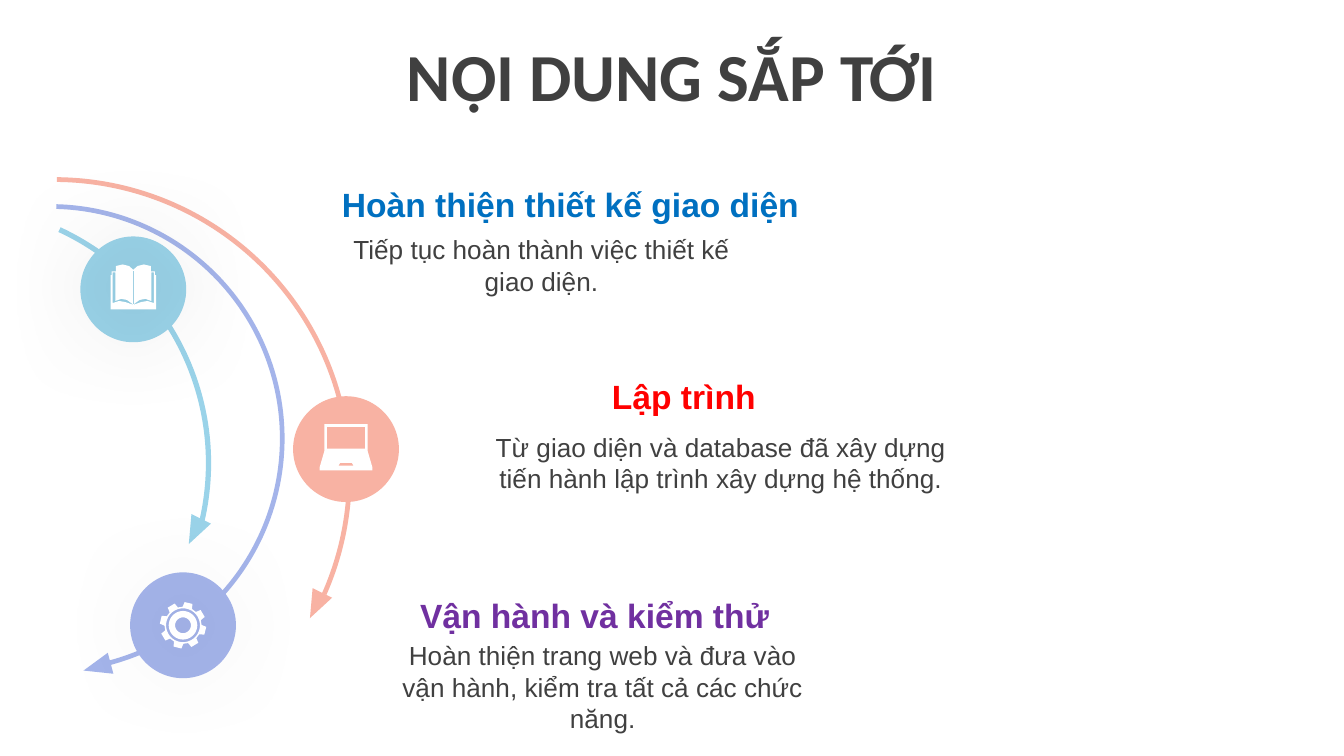
from math import cos, radians, sin

from lxml import etree
from pptx import Presentation
from pptx.dml.color import RGBColor
from pptx.enum.shapes import MSO_SHAPE
from pptx.enum.text import MSO_ANCHOR, PP_ALIGN
from pptx.oxml.ns import qn
from pptx.util import Cm, Pt

OVAL = MSO_SHAPE.OVAL
BLOCK_ARC = MSO_SHAPE.BLOCK_ARC
TRIANGLE = MSO_SHAPE.ISOSCELES_TRIANGLE
MIDDLE = MSO_ANCHOR.MIDDLE
TOP = MSO_ANCHOR.TOP
CENTER = PP_ALIGN.CENTER

SLIDE_WIDTH, SLIDE_HEIGHT = 25.4, 14.29
BADGE_SIZE = 2.0
HEAD_WIDTH, HEAD_HEIGHT = 0.41, 0.53
DEGREE_TO_ADJUSTMENT = 0.6
WHITE, DARK = "FFFFFF", "404040"
BLUE, TEAL, CORAL = "A4B4EA", "9AD3E9", "F8B2A3"


def color(hex_string):
    return RGBColor.from_string(hex_string)


def paint(shape, fill):
    shape.fill.solid()
    shape.fill.fore_color.rgb = color(fill)
    shape.line.fill.background()
    shape.shadow.inherit = False


def add_preset(slide, kind, box, fill):
    shape = slide.shapes.add_shape(kind, *(Cm(value) for value in box))
    paint(shape, fill)
    return shape


def add_text(slide, text, box, size, font="Arial", fill=DARK, bold=False, anchor=TOP):
    shape = slide.shapes.add_textbox(*(Cm(value) for value in box))
    frame = shape.text_frame
    frame.word_wrap = True
    frame.vertical_anchor = anchor
    paragraph = frame.paragraphs[0]
    paragraph.alignment = CENTER
    run = paragraph.add_run()
    run.text = text
    run.font.size = Pt(size)
    run.font.name = font
    run.font.bold = bold
    run.font.color.rgb = color(fill)


def add_glow(shape):
    effects = shape._element.spPr.find(qn("a:effectLst"))
    shadow = etree.SubElement(effects, qn("a:outerShdw"), blurRad=str(Pt(63)), algn="ctr", rotWithShape="0")
    black = etree.SubElement(shadow, qn("a:srgbClr"), val="000000")
    etree.SubElement(black, qn("a:alpha"), val="40000")


def flip(points):
    return [(-x, y) for x, y in points]


def mirrored(points):
    return points + flip(points)[::-1]


def circle(radius):
    return [(radius * cos(radians(angle)), radius * sin(radians(angle))) for angle in range(0, 360, 10)]


def book_contours():
    cover = [(0, -0.37), (0.08, -0.44), (0.2, -0.47), (0.33, -0.44), (0.33, -0.34),
             (0.41, -0.34), (0.41, -0.27), (0.43, -0.27), (0.43, 0.38)]
    gap = [(0.01, 0.29), (0.15, 0.24), (0.27, 0.22), (0.39, 0.26), (0.39, -0.32),
           (0.34, -0.32), (0.34, 0.22), (0.23, 0.18), (0.12, 0.2), (0.01, 0.28)]
    spine = [(0.01, -0.35), (0.01, 0.28)]
    return [mirrored(cover), gap, flip(gap), mirrored(spine)]


def laptop_contours():
    body = [(0.41, -0.47), (0.41, 0.04), (0.5, 0.35), (0.5, 0.4)]
    screen = [(0.36, -0.42), (0.36, -0.01)]
    touchpad = [(0.11, 0.26), (0.14, 0.31)]
    return [mirrored(part) for part in (body, screen, touchpad)]


def gear_contours():
    tooth = [(-15, 0.35), (-10, 0.44), (10, 0.44), (15, 0.35)]
    rim = []
    for middle in range(-76, 284, 45):
        for offset, radius in tooth:
            angle = radians(middle + offset)
            rim.append((radius * cos(angle), radius * sin(angle)))
    return [rim] + [circle(radius) for radius in (0.32, 0.27, 0.15)]


def add_icon(slide, center_x, center_y, contours, glow):
    builder = None
    for contour in contours:
        points = [(Cm(center_x + x), Cm(center_y + y)) for x, y in contour]
        if builder is None:
            builder = slide.shapes.build_freeform(*points[0], scale=1.0)
        else:
            builder.move_to(*points[0])
        builder.add_line_segments(points[1:], close=True)
    icon = builder.convert_to_shape()
    paint(icon, WHITE)
    if glow:
        add_glow(icon)


def add_curved_arrow(slide, box, fill, start, end, thickness, head, rotation):
    arc = add_preset(slide, BLOCK_ARC, box, fill)
    arc.adjustments[0] = start * DEGREE_TO_ADJUSTMENT
    arc.adjustments[1] = end * DEGREE_TO_ADJUSTMENT
    arc.adjustments[2] = thickness
    triangle = add_preset(slide, TRIANGLE, (*head, HEAD_WIDTH, HEAD_HEIGHT), fill)
    triangle.rotation = rotation


def add_badge(slide, left, top, fill, contours, glow):
    add_preset(slide, OVAL, (left, top, BADGE_SIZE, BADGE_SIZE), fill)
    add_icon(slide, left + BADGE_SIZE / 2, top + BADGE_SIZE / 2, contours, glow)


def add_roadmap(slide, left, top):
    arrows = [
        (-5, 0.51, 8.86, BLUE, 271.51, 76.28, 0.01, 0.11, 8.99, 255),
        (-6.12, 0, 11.25, CORAL, 270.55, 23.84, 0.008, 4.25, 7.83, 206.2),
        (-7.36, 0.49, 9.83, TEAL, 294.91, 14.16, 0.01, 1.96, 6.43, 206.2),
    ]
    for x, y, size, fill, start, end, thickness, head_x, head_y, rotation in arrows:
        add_curved_arrow(slide, (left + x, top + y, size, size), fill, start, end, thickness,
                         (left + head_x, top + head_y), rotation)
    badges = [
        (0.94, 7.47, BLUE, gear_contours(), True),
        (0, 1.12, TEAL, book_contours(), True),
        (4.02, 4.14, CORAL, laptop_contours(), False),
    ]
    for x, y, fill, contours, glow in badges:
        add_badge(slide, left + x, top + y, fill, contours, glow)


def add_step(slide, box, heading, fill, body, body_offset, body_width):
    left, top, width = box
    x, y = body_offset
    add_text(slide, body, (left + x, top + y, body_width, 1.45), 14)
    add_text(slide, heading, (left, top, width, 1.02), 18, fill=fill, bold=True)


def main():
    presentation = Presentation()
    presentation.slide_width = Cm(SLIDE_WIDTH)
    presentation.slide_height = Cm(SLIDE_HEIGHT)
    slide = presentation.slides.add_slide(presentation.slide_layouts[6])
    add_roadmap(slide, 1.52, 3.35)
    steps = [
        ((5.97, 3.35, 9.63), "Hoàn thiện thiết kế giao diện", "0070C0",
         "Tiếp tục hoàn thành việc thiết kế giao diện.", (0.2, 0.94), 8.13),
        ((8.71, 6.99, 8.43), "Lập trình", "FF0000",
         "Từ giao diện và database đã xây dựng tiến hành lập trình xây dựng hệ thống.", (0, 1.04), 9.83),
        ((6.73, 11.13, 9.02), "Vận hành và kiểm thử", "7030A0",
         "Hoàn thiện trang web và đưa vào vận hành, kiểm tra tất cả các chức năng.", (0.28, 0.84), 8.76),
    ]
    for step in steps:
        add_step(slide, *step)
    add_text(slide, "NỘI DUNG SẮP TỚI", (0, 0.61, SLIDE_WIDTH, 1.6), 36,
             font="Calibri", bold=True, anchor=MIDDLE)
    presentation.save("out.pptx")


if __name__ == "__main__":
    main()
